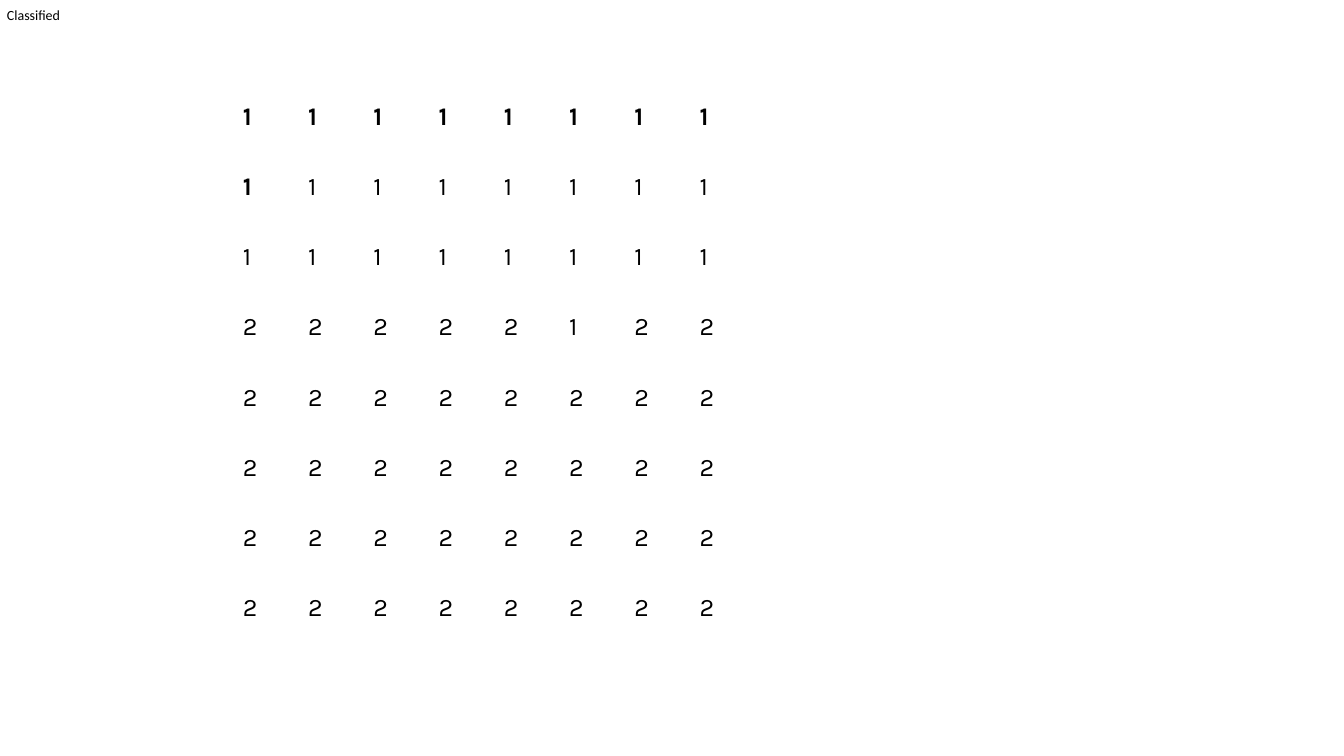
"""Build a slide with an 8 by 8 grid of class labels."""
from lxml.etree import SubElement
from pptx import Presentation
from pptx.dml.color import RGBColor
from pptx.enum.text import MSO_AUTO_SIZE
from pptx.oxml.ns import qn
from pptx.util import Pt


def color(hex_value):
    return RGBColor.from_string(hex_value)


def style(paragraph, font_name, size, bold=False):
    font = paragraph.runs[0].font
    font.name = font_name
    font.size = Pt(size)
    font.bold = bold
    font.color.rgb = color("000000")


LABELS = ["11111111"] * 3 + ["22222122"] + ["22222222"] * 4
BOLD_LABELS = 9
COLUMN_WIDTH = 46.62
TOP_ROW_HEIGHT, ROW_HEIGHT = 49.7, 50.2

prs = Presentation()
prs.slide_width, prs.slide_height = Pt(960), Pt(540)
slide = prs.slides.add_slide(prs.slide_layouts[6])
slide.background.fill.solid()
slide.background.fill.fore_color.rgb = color("FFFFFF")

marking = slide.shapes.add_textbox(Pt(5), Pt(5), Pt(40.3), Pt(12.2)).text_frame
marking.margin_left = marking.margin_top = 0
marking.margin_right = marking.margin_bottom = 0
marking.word_wrap = False
marking.auto_size = MSO_AUTO_SIZE.SHAPE_TO_FIT_TEXT
marking.text = "Classified"
style(marking.paragraphs[0], "Calibri", 10)

size = len(LABELS)
grid = slide.shapes.add_table(
    size, size, Pt(166.3), Pt(69.8), Pt(size * COLUMN_WIDTH),
    Pt(TOP_ROW_HEIGHT + (size - 1) * ROW_HEIGHT)).table
grid.first_row = grid.horz_banding = False
for column in grid.columns:
    column.width = Pt(COLUMN_WIDTH)

for r, labels in enumerate(LABELS):
    grid.rows[r].height = Pt(ROW_HEIGHT if r else TOP_ROW_HEIGHT)
    for c, label in enumerate(labels):
        cell = grid.cell(r, c)
        cell.text_frame.text = label
        style(cell.text_frame.paragraphs[0], "Karla", 18, r * size + c < BOLD_LABELS)
        borders = cell._tc.get_or_add_tcPr()
        for side in "LRTB":
            thick = (r, side) in ((0, "B"), (1, "T"))
            border = SubElement(borders, qn(f"a:ln{side}"), w=str(Pt(3 if thick else 1)))
            SubElement(SubElement(border, qn("a:solidFill")), qn("a:srgbClr"), val="FFFFFF")
        cell.fill.background()

prs.save("out.pptx")
